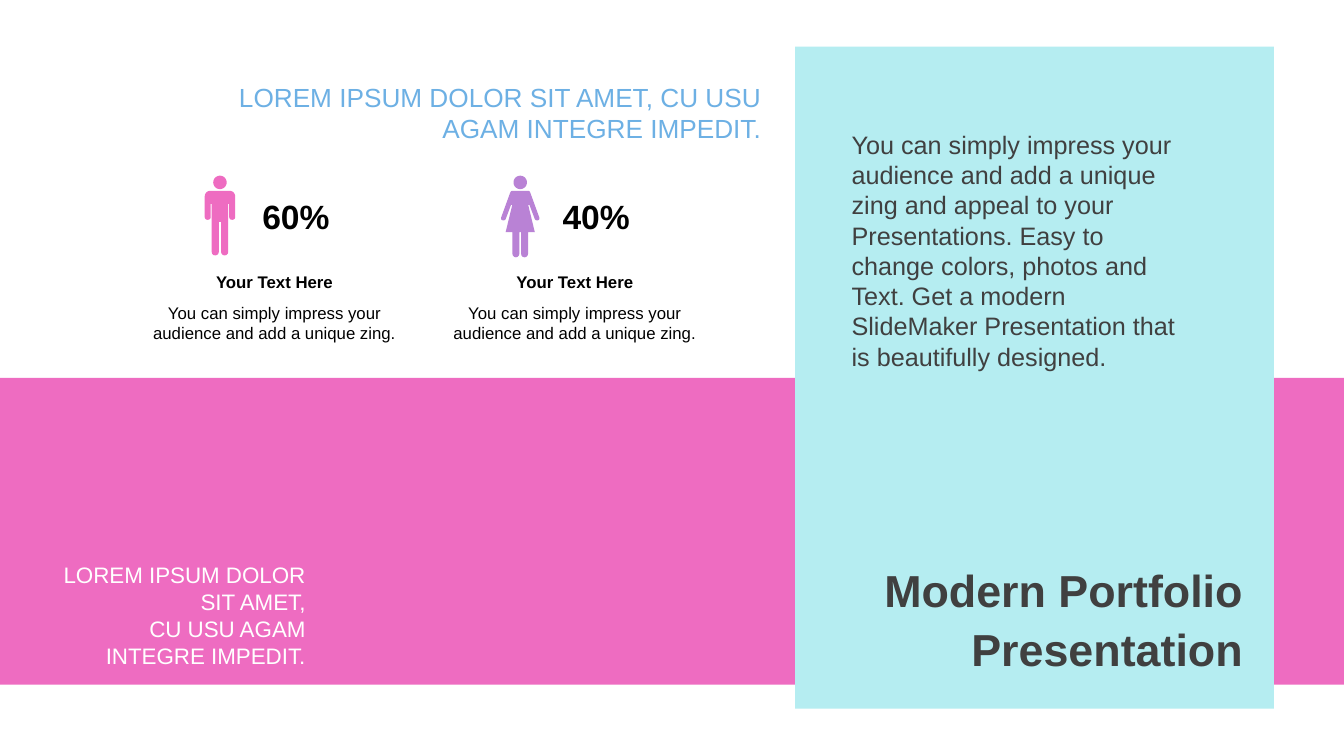
from math import cos, pi, sin

from pptx import Presentation
from pptx.dml.color import RGBColor
from pptx.enum.shapes import MSO_SHAPE as SHAPE
from pptx.enum.text import MSO_ANCHOR as ANCHOR, PP_ALIGN as ALIGN
from pptx.util import Pt

COLORS = {
    "pink": "EE6CC1",
    "aqua": "B5EDF1",
    "purple": "B982D5",
    "blue": "6DB0E4",
    "grey": "404040",
    "black": "000000",
    "white": "FFFFFF",
}
FONT = "Arial"
UNITS_PER_POINT = 100
CURVE_STEPS = 6

MAN_HALF = [
    (0, 10.8), (6.5, 10.8), (9.2, 10.8, 10.9, 12.4, 10.9, 15.1),
    (10.9, 29.6), (10.9, 32.2, 6.6, 32.2, 6.6, 29.6),
    (6.6, 20.2), (5.9, 20.2), (5.9, 54.4),
    (5.9, 57.8, 0.8, 57.8, 0.8, 54.4), (0.8, 33.1),
]
WOMAN_HALF = [
    (0, 10.8), (4.3, 10.8), (6.5, 10.8, 6.5, 10.8, 7.2, 12.2),
    (13.5, 29.5), (13.9, 30.2, 13.7, 31.5, 13, 31.7),
    (12, 32.2, 10.8, 31.9, 10.3, 30.8), (6.6, 20.9), (5.7, 20.9),
    (10.4, 40.3), (5.6, 40.3), (5.6, 55.6),
    (5.6, 59.2, 0.6, 59.2, 0.6, 55.6), (0.6, 40.3),
]


def rgb(name):
    """Return the palette colour called name."""
    return RGBColor.from_string(COLORS[name])


def paint(shape, color):
    """Give a shape a flat fill without line or shadow."""
    shape.shadow.inherit = False
    shape.fill.solid()
    shape.fill.fore_color.rgb = rgb(color)
    shape.line.fill.background()


def add_panel(slide, box, color):
    """Fill the box with a plain rectangle."""
    paint(slide.shapes.add_shape(SHAPE.RECTANGLE, *map(Pt, box)), color)


def add_text(slide, box, lines, size, color, align=ALIGN.LEFT,
             anchor=ANCHOR.TOP, bold=False, spacing=1.0):
    """Write one paragraph per line into a wrapping text box."""
    frame = slide.shapes.add_textbox(*map(Pt, box)).text_frame
    frame.word_wrap = True
    frame.vertical_anchor = anchor
    for number, line in enumerate(lines):
        paragraph = frame.add_paragraph() if number else frame.paragraphs[0]
        paragraph.alignment = align
        paragraph.line_spacing = spacing
        run = paragraph.add_run()
        run.text = line
        run.font.name = FONT
        run.font.size = Pt(size)
        run.font.bold = bold
        run.font.color.rgb = rgb(color)


def trace(half):
    """Turn points and cubic curves into a list of points."""
    points = []
    for step in half:
        if len(step) == 2:
            points.append(step)
            continue
        x0, y0 = points[-1]
        x1, y1, x2, y2, x3, y3 = step
        for part in range(1, CURVE_STEPS + 1):
            t = part / CURVE_STEPS
            a, b, c, d = (1 - t) ** 3, 3 * t * (1 - t) ** 2, 3 * t * t * (1 - t), t ** 3
            points.append((a * x0 + b * x1 + c * x2 + d * x3,
                           a * y0 + b * y1 + c * y2 + d * y3))
    return points


def add_person(slide, axis, top, half, color):
    """Draw a figure mirrored about its axis, with a round head."""
    right = trace(half)
    body = right + [(-x, y) for x, y in reversed(right)]
    radius = 4.8
    head = [(radius * sin(k * pi / 16), radius * (1 - cos(k * pi / 16)))
            for k in range(32)]
    body, head = ([(x * UNITS_PER_POINT, y * UNITS_PER_POINT) for x, y in outline]
                  for outline in (body, head))
    builder = slide.shapes.build_freeform(*body[0], scale=Pt(1) / UNITS_PER_POINT)
    builder.add_line_segments(body[1:], close=True)
    builder.move_to(*head[0])
    builder.add_line_segments(head[1:], close=True)
    paint(builder.convert_to_shape(Pt(axis), Pt(top)), color)


def add_share(slide, box, half, color, share):
    """Show one group of people with its share and caption."""
    left, top, width, _ = box
    add_person(slide, left + 58.5, top, half, color)
    add_text(slide, (left + 76, top + 10.5, 73.5, 36), [share], 24, "black",
             ALIGN.CENTER, ANCHOR.MIDDLE, bold=True)
    add_text(slide, (left, top + 65.3, width, 21.6), ["Your Text Here"], 12,
             "black", ALIGN.CENTER, bold=True)
    add_text(slide, (left, top + 86.9, width, 36),
             ["You can simply impress your audience and add a unique zing."],
             12, "black", ALIGN.CENTER)


def add_band(slide, box):
    """Place the pink band with its white motto."""
    left, top, _, _ = box
    add_panel(slide, box, "pink")
    add_text(slide, (left + 31, top + 126.7, 194.4, 85),
             ["LOREM IPSUM DOLOR SIT AMET,", "CU USU AGAM INTEGRE IMPEDIT."],
             16, "white", ALIGN.RIGHT, ANCHOR.MIDDLE)


def add_feature(slide, box):
    """Place the aqua panel with its description and title."""
    left, top, _, _ = box
    add_panel(slide, box, "aqua")
    add_text(slide, (left + 33.2, top + 55.4, 250.6, 181.4),
             ["You can simply impress your audience and add a unique zing and "
              "appeal to your Presentations. Easy to change colors, photos and "
              "Text. Get a modern SlideMaker Presentation that is beautifully "
              "designed."], 18, "grey")
    add_text(slide, (left + 36.8, top + 359.3, 290.2, 95),
             ["Modern Portfolio Presentation"], 32, "grey", ALIGN.RIGHT,
             ANCHOR.MIDDLE, bold=True, spacing=1.1)


def add_audience(slide, box):
    """Place the blue heading above the two shares."""
    left, top, width, _ = box
    add_text(slide, (left + 37.4, top, width - 37.4, 52.6),
             ["LOREM IPSUM DOLOR SIT AMET, CU USU AGAM INTEGRE IMPEDIT."],
             18.7, "blue", ALIGN.RIGHT, ANCHOR.MIDDLE)
    shares = [(MAN_HALF, "pink", "60%"), (WOMAN_HALF, "purple", "40%")]
    for column, share in enumerate(shares):
        add_share(slide, (left + column * 214.5, top + 71.5, 195, 123), *share)


def main():
    """Build and save the slide."""
    deck = Presentation()
    deck.slide_width, deck.slide_height = Pt(960), Pt(540)
    slide = deck.slides.add_slide(deck.slide_layouts[6])
    add_band(slide, (0, 270, 960, 219))
    add_feature(slide, (568, 33.3, 342, 473))
    add_audience(slide, (98.6, 54, 452.2, 195))
    deck.save("out.pptx")


if __name__ == "__main__":
    main()
